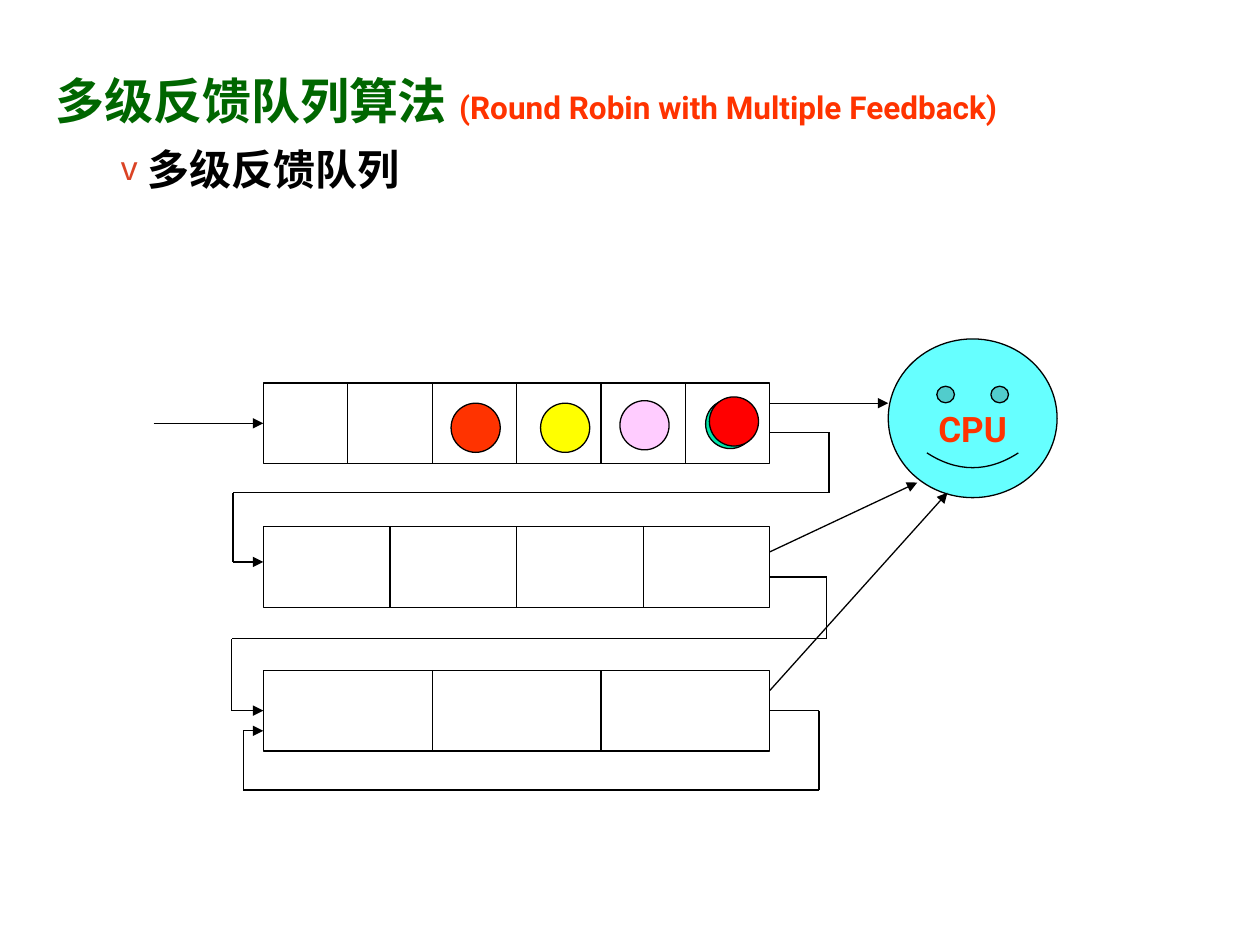
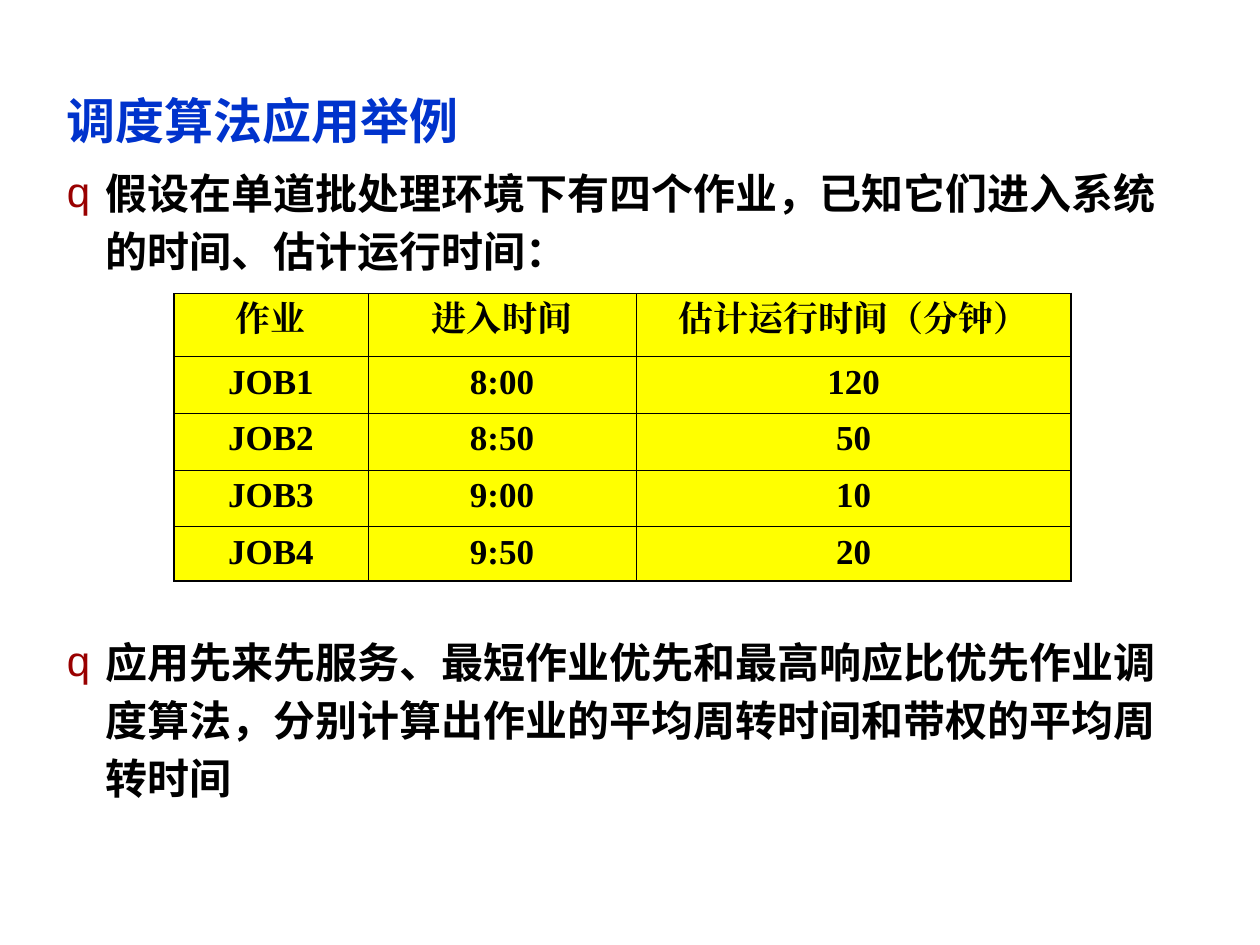
"""Builds two slides on multilevel feedback queues and a job scheduling exercise."""
from dataclasses import dataclass
from itertools import pairwise

from lxml.etree import SubElement
from pptx import Presentation
from pptx.dml.color import RGBColor
from pptx.enum.shapes import MSO_CONNECTOR as Connector, MSO_SHAPE as Preset
from pptx.enum.text import MSO_ANCHOR as Anchor, MSO_AUTO_SIZE as AutoSize, PP_ALIGN as Align
from pptx.oxml.ns import qn
from pptx.util import Inches, Pt


@dataclass(frozen=True)
class Theme:
    font: str = "Roboto"
    table_font: str = "Times New Roman"
    bullet_font: str = "Arial"
    black: str = "000000"
    green: str = "006600"
    blue: str = "0033CC"
    orange: str = "FF3300"
    cyan: str = "66FFFF"
    yellow: str = "FFFF00"
    pink: str = "FFCCFF"
    teal: str = "00E4A8"
    red: str = "FF0000"
    arrow_bullet: str = "DB4325"
    square_bullet: str = "990000"
    heading_size: int = 28
    body_size: int = 24
    label_size: int = 20
    note_size: int = 18
    line: float = 0.75
    thin_border: float = 0.45
    thick_border: float = 1.08


THEME = Theme()
LEFT, TOP, RIGHT, BOTTOM = 1, 0, 3, 2


class SlideBuilder:
    def __init__(self, deck, theme):
        self.deck = deck
        self.theme = theme
        self.page = None

    def new_page(self):
        self.page = self.deck.slides.add_slide(self.deck.slide_layouts[1])

    def style(self, span, size, color, name=None):
        font = span.font
        font.name = name or self.theme.font
        font.size, font.bold = Pt(size), True
        font.color.rgb = RGBColor.from_string(color)
        latin = span._r.rPr.find(qn("a:latin"))
        asian = latin.makeelement(qn("a:ea"), {"typeface": font.name})
        latin.addnext(asian)

    def place(self, holder, left, top, width, height):
        holder.left, holder.top = Inches(left), Inches(top)
        holder.width, holder.height = Inches(width), Inches(height)
        frame = holder.text_frame
        frame.word_wrap, frame.auto_size = True, AutoSize.NONE
        frame.vertical_anchor = Anchor.TOP
        return frame

    def heading(self, at, spacing, parts):
        para = self.place(self.page.shapes.title, *at).paragraphs[0]
        para.alignment, para.line_spacing = Align.LEFT, spacing
        para.space_before = Pt(0)
        for text, size, color in parts:
            span = para.add_run()
            span.text = text
            self.style(span, size, color)

    def bullets(self, at, spacing, items, mark, color, percent=100,
                level=0, margin=0.31, hanging=0.31, gap=0):
        frame = self.place(self.page.placeholders[1], *at)
        frame.text = "\n".join(items)
        for index, para in enumerate(frame.paragraphs):
            para.level, para.line_spacing = level, spacing
            para.space_before = Pt(gap if index else 0)
            props = para._p.get_or_add_pPr()
            props.set("marL", str(Inches(margin)))
            props.set("indent", str(-Inches(hanging)))
            SubElement(SubElement(props, qn("a:buClr")), qn("a:srgbClr"), val=color)
            SubElement(props, qn("a:buSzPct"), val=str(percent * 1000))
            SubElement(props, qn("a:buFont"), typeface=self.theme.bullet_font)
            SubElement(props, qn("a:buChar"), char=mark)
            self.style(para.runs[0], self.theme.body_size, self.theme.black)

    def shape(self, preset, left, top, width, height, fill=None):
        box = self.page.shapes.add_shape(
            preset, Inches(left), Inches(top), Inches(width), Inches(height))
        box.shadow.inherit = False
        if fill:
            box.fill.solid()
            box.fill.fore_color.rgb = RGBColor.from_string(fill)
        else:
            box.fill.background()
        box.line.color.rgb = RGBColor.from_string(self.theme.black)
        box.line.width = Pt(self.theme.line)
        return box

    def face(self, text, left, top, width, height):
        box = self.shape(Preset.SMILEY_FACE, left, top, width, height, self.theme.cyan)
        box.adjustments[0] = 0.0465 * 2
        frame = box.text_frame
        frame.word_wrap, frame.margin_top = False, Inches(0.21)
        frame.vertical_anchor = Anchor.MIDDLE
        frame.text = text
        frame.paragraphs[0].alignment = Align.CENTER
        self.style(frame.paragraphs[0].runs[0], self.theme.label_size, self.theme.orange)

    def line(self, start, end, arrow=False):
        link = self.page.shapes.add_connector(
            Connector.STRAIGHT, *(Inches(value) for value in (*start, *end)))
        link.line.color.rgb = RGBColor.from_string(self.theme.black)
        link.line.width = Pt(self.theme.line)
        if arrow:
            SubElement(link.line._get_or_add_ln(), qn("a:tailEnd"), type="triangle")
        SubElement(link._element.spPr, qn("a:effectLst"))
        return link

    def wire(self, points, source=None, target=None):
        legs = list(pairwise(points))
        links = [self.line(*leg, arrow=leg is legs[-1]) for leg in legs]
        if source:
            links[0].begin_connect(source, RIGHT)
        if target:
            links[-1].end_connect(target, LEFT)

    def queue(self, left, top, width, height, cells):
        box = self.shape(Preset.RECTANGLE, left, top, width, height)
        for index in range(1, cells):
            x = left + width * index / cells
            divider = self.line((x, top), (x, top + height))
            if index * 2 == cells:
                divider.begin_connect(box, TOP)
                divider.end_connect(box, BOTTOM)
        return box

    def border(self, cell, thick_sides):
        props = cell._tc.get_or_add_tcPr()
        for index, side in enumerate("LRTB"):
            width = self.theme.thick_border if side in thick_sides else self.theme.thin_border
            edge = props.makeelement(qn(f"a:ln{side}"), {"w": str(Pt(width))})
            SubElement(SubElement(edge, qn("a:solidFill")), qn("a:srgbClr"),
                       val=self.theme.black)
            props.insert(index, edge)

    def table(self, left, top, widths, heights, rows):
        grid = self.page.shapes.add_table(
            len(rows), len(widths), Inches(left), Inches(top),
            Inches(sum(widths)), Inches(sum(heights))).table
        grid.first_row = grid.horz_banding = False
        for column, width in zip(grid.columns, widths):
            column.width = Inches(width)
        for row, height in zip(grid.rows, heights):
            row.height = Inches(height)
        last_row, last_column = len(rows) - 1, len(widths) - 1
        for r, texts in enumerate(rows):
            for c, text in enumerate(texts):
                cell = grid.cell(r, c)
                cell.text = text
                cell.fill.solid()
                cell.fill.fore_color.rgb = RGBColor.from_string(self.theme.yellow)
                para = cell.text_frame.paragraphs[0]
                para.alignment = Align.CENTER
                self.style(para.runs[0], self.theme.label_size, self.theme.black,
                           self.theme.table_font)
                edges = {"L": c == 0, "R": c == last_column, "B": r == last_row,
                         "T": r == 0 and c == last_column}
                self.border(cell, [side for side, thick in edges.items() if thick])


def feedback_queue_slide(builder):
    theme = builder.theme
    builder.new_page()
    builder.face("CPU", 7.05, 2.69, 1.34, 1.26)
    builder.heading((0.34, 0.46, 9.17, 0.6), 1.1, [
        ("多级反馈队列算法 ", theme.heading_size, theme.green),
        ("(Round Robin with Multiple Feedback)", theme.note_size, theme.orange)])
    builder.bullets((0.34, 1.05, 9.17, 1.16), 1.1, ["多级反馈队列"], "v",
                    theme.arrow_bullet, percent=80, level=1, margin=0.73, hanging=0.21)

    left, width, height = 2.09, 4.02, 0.64
    right = left + width
    first, second, third = (
        builder.queue(left, 3.04 + 1.14 * level, width, height, cells)
        for level, cells in enumerate((6, 4, 3)))

    builder.wire([(1.22, 3.36), (left, 3.36)], target=first)
    for out_y, out_x, turn_y, back_x, in_y, source, target in (
            (3.43, 6.58, 3.91, 1.85, 4.46, None, None),
            (4.58, 6.56, 5.07, 1.84, 5.64, None, third),
            (5.64, 6.5, 6.27, 1.93, 5.8, third, None)):
        builder.wire([(right, out_y), (out_x, out_y), (out_x, turn_y),
                      (back_x, turn_y), (back_x, in_y), (left, in_y)], source, target)
    for out_y, cpu_point in ((3.2, (7.05, 3.2)), (4.38, (7.28, 3.83)), (5.48, (7.52, 3.91))):
        builder.wire([(right, out_y), cpu_point])

    for x, y, color in ((5.6, 3.17, theme.teal), (4.92, 3.18, theme.pink),
                        (4.29, 3.2, theme.yellow), (3.58, 3.2, theme.orange),
                        (5.63, 3.15, theme.red)):
        builder.shape(Preset.OVAL, x, y, 0.39, 0.39, color)


def scheduling_example_slide(builder):
    theme = builder.theme
    builder.new_page()
    builder.heading((0.43, 0.6, 9.07, 0.62), 1.15,
                    [("调度算法应用举例", theme.heading_size, theme.blue)])
    builder.bullets((0.43, 1.22, 9.07, 5.99), 1.15, [
        "假设在单道批处理环境下有四个作业，已知它们进入系统的时间、估计运行时间：",
        "应用先来先服务、最短作业优先和最高响应比优先作业调度算法，"
        "分别计算出作业的平均周转时间和带权的平均周转时间",
    ], "q", theme.square_bullet, gap=202)
    builder.table(1.38, 2.33, (1.54, 2.13, 3.45), (0.5, 0.45, 0.45, 0.45, 0.43), [
        ("作业", "进入时间", "估计运行时间（分钟）"),
        ("JOB1", "8:00", "120"),
        ("JOB2", "8:50", "50"),
        ("JOB3", "9:00", "10"),
        ("JOB4", "9:50", "20")])


def main():
    deck = Presentation()
    deck.slide_width, deck.slide_height = Inches(10), Inches(7.5)
    builder = SlideBuilder(deck, THEME)
    feedback_queue_slide(builder)
    scheduling_example_slide(builder)
    deck.save("out.pptx")


if __name__ == "__main__":
    main()
